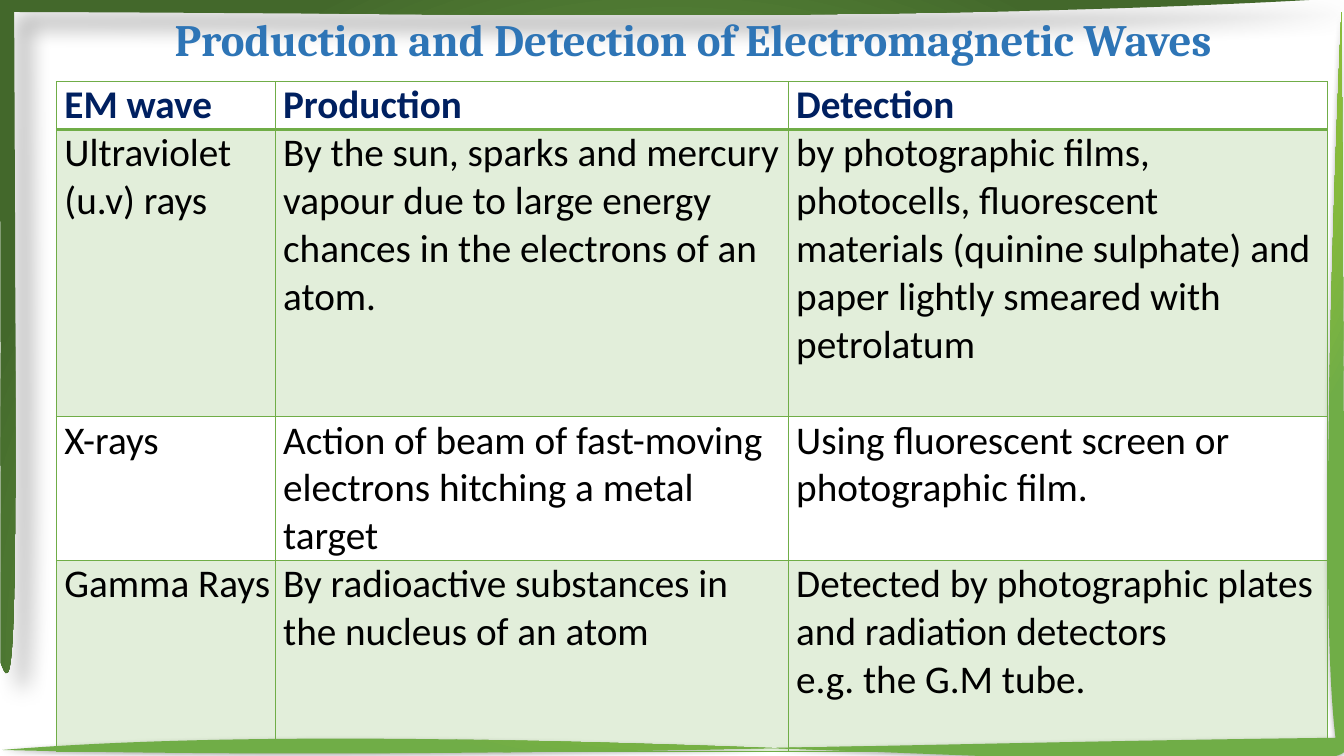
from lxml.etree import SubElement
from pptx import Presentation
from pptx.dml.color import RGBColor
from pptx.enum.text import MSO_ANCHOR, PP_ALIGN
from pptx.oxml import parse_xml
from pptx.oxml.ns import nsdecls, qn
from pptx.util import Pt

COLORS = {
    "title": "2E75B6", "header": "002060", "text": "000000", "green": "70AD47",
    "leaf": "76B54C", "dark": "43682B", "yellow": "FFFF00", "white": "FFFFFF",
}
COLUMN_WIDTHS = [156.24, 366.48, 385.2]
ROW_HEIGHTS = [34.2, 205.2, 102.4, 136.9]
ROWS = [
    [["EM wave"], ["Production"], ["Detection"]],
    [["Ultraviolet (u.v) rays"],
     ["By the sun, sparks and mercury",
      "vapour due to large energy chances in the electrons of an", "atom."],
     ["by photographic films,", "photocells, fluorescent",
      "materials (quinine sulphate) and paper lightly smeared with petrolatum"]],
    [["X-rays"],
     ["Action of beam of fast-moving", "electrons hitching a metal", "target"],
     ["Using fluorescent screen or photographic film."]],
    [["Gamma Rays"],
     ["By radioactive substances in the nucleus of an atom"],
     ["Detected by photographic plates and radiation detectors", "e.g. the G.M tube."]],
]


def write_text(text_frame, lines, *, size, font, color, bold=False,
               align=PP_ALIGN.LEFT, spacing=1.0):
    text_frame.word_wrap = True
    for index, line in enumerate(lines):
        paragraph = text_frame.paragraphs[0] if index == 0 else text_frame.add_paragraph()
        paragraph.alignment = align
        paragraph.line_spacing = spacing
        run = paragraph.add_run()
        run.text = line
        run.font.size = Pt(size)
        run.font.name = font
        run.font.bold = bold
        run.font.color.rgb = RGBColor.from_string(COLORS[color])


def bend_outline(shape, segments):
    """Turn each line that has two handles into a cubic curve."""
    lines = list(shape._element.spPr.iter(qn("a:lnTo")))
    for line, segment in zip(lines, segments):
        if len(segment) == 3:
            curve = parse_xml(f'<a:cubicBezTo {nsdecls("a")}/>')
            for x, y in segment:
                point = SubElement(curve, qn("a:pt"))
                point.set("x", str(Pt(x) - shape.left))
                point.set("y", str(Pt(y) - shape.top))
            line.getparent().replace(line, curve)


def add_wave_band(slide, start, segments, *, stops, focus, shadow):
    builder = slide.shapes.build_freeform(Pt(start[0]), Pt(start[1]))
    builder.add_line_segments(
        [(Pt(x), Pt(y)) for x, y in (segment[-1] for segment in segments)], close=True)
    shape = builder.convert_to_shape()
    bend_outline(shape, segments)
    shape.line.fill.background()

    # Radial gradient
    stop_xml = "".join(
        f'<a:gs pos="{position * 1000}"><a:srgbClr val="{COLORS[color]}"/></a:gs>'
        for position, color in stops)
    top, bottom = focus
    gradient = parse_xml(
        f'<a:gradFill {nsdecls("a")} rotWithShape="1"><a:gsLst>{stop_xml}</a:gsLst>'
        f'<a:path path="circle"><a:fillToRect l="50000" t="{top * 1000}" r="50000" '
        f'b="{bottom * 1000}"/></a:path></a:gradFill>')
    properties = shape._element.spPr
    properties.find(qn("a:custGeom")).addnext(gradient)

    # Soft shadow
    opacity, blur, distance, angle = shadow
    properties.append(parse_xml(
        f'<a:effectLst {nsdecls("a")}><a:outerShdw blurRad="{Pt(blur)}" '
        f'dist="{Pt(distance)}" dir="{angle * 60000}" algn="tl" rotWithShape="0">'
        f'<a:srgbClr val="{COLORS["text"]}"><a:alpha val="{opacity * 1000}"/></a:srgbClr>'
        f'</a:outerShdw></a:effectLst>'))


def add_frame(slide, left, top, width, height):
    right, bottom = left + width, top + height
    # Band along the top and left edges
    upper_start = (left + 0.7, top + 473.8)
    upper = [
        [(left + 11.5, top + 504.7), (left + 12.2, top + 449.3), (left + 10.1, top + 8.6)],
        [(left + 332.6, top + 9.4), (left + 655.2, top + 16.6), (right, top - 1.4)],
        [(left, top - 1.4)],
        [(left, top + 157), (left + 0.7, top + 315.4), upper_start],
    ]
    add_wave_band(slide, upper_start, upper,
                  stops=[(0, "yellow"), (46, "leaf"), (100, "dark")],
                  focus=(130, -30), shadow=(30, 15, 18, 45))
    # Band along the bottom and right edges
    lower_start = (right + 1.2, bottom - 4.3)
    lower = [
        [(right - 8.9, bottom + 26.6), (left + 354.2, bottom - 33.1), (left + 1.4, bottom - 4.3)],
        [(left + 327.6, bottom + 3.6), (left + 636.5, bottom - 9.4), (right - 6, bottom - 13)],
        [(right - 20.4, top + 411.1), (right - 1.7, top + 3.6), (right - 1.7, top + 8.6)],
        [(right - 1.7, top + 13), (right + 1.2, bottom - 8.6), lower_start],
    ]
    add_wave_band(slide, lower_start, lower,
                  stops=[(0, "white"), (35, "yellow"), (100, "green")],
                  focus=(-80, 180), shadow=(32, 3.5, 2.2, 90))


def add_title(slide, left, top, width, height):
    box = slide.shapes.add_textbox(Pt(left), Pt(top), Pt(width), Pt(height))
    box.text_frame.vertical_anchor = MSO_ANCHOR.MIDDLE
    write_text(box.text_frame, ["Production and Detection of Electromagnetic Waves"],
               size=32, font="Cambria", color="title", bold=True,
               align=PP_ALIGN.CENTER, spacing=0.9)


def format_cell(cell, row_index):
    cell.margin_left = Pt(5.76)
    cell.margin_top = cell.margin_right = cell.margin_bottom = 0
    properties = cell._tc.get_or_add_tcPr()
    widths = {"lnL": 1, "lnR": 1, "lnT": 2 if row_index == 1 else 1,
              "lnB": 2 if row_index == 0 else 1}
    for side, width in widths.items():
        properties.append(parse_xml(
            f'<a:{side} {nsdecls("a")} w="{Pt(width)}"><a:solidFill>'
            f'<a:srgbClr val="{COLORS["green"]}"/></a:solidFill></a:{side}>'))
    if row_index % 2:
        cell.fill.solid()
        cell.fill.fore_color.rgb = RGBColor.from_string(COLORS["green"])
        color = properties.find(qn("a:solidFill")).find(qn("a:srgbClr"))
        SubElement(color, qn("a:alpha")).set("val", "20000")
    else:
        cell.fill.background()


def add_wave_table(slide, left, top):
    shape = slide.shapes.add_table(
        len(ROWS), len(COLUMN_WIDTHS), Pt(left), Pt(top),
        Pt(sum(COLUMN_WIDTHS)), Pt(sum(ROW_HEIGHTS)))
    table = shape.table
    table.first_row = table.horz_banding = False
    for column, width in zip(table.columns, COLUMN_WIDTHS):
        column.width = Pt(width)
    for row_index, (row, height) in enumerate(zip(table.rows, ROW_HEIGHTS)):
        row.height = Pt(height)
        is_header = row_index == 0
        for cell, lines in zip(row.cells, ROWS[row_index]):
            format_cell(cell, row_index)
            write_text(cell.text_frame, lines, size=28, font="Calibri",
                       color="header" if is_header else "text", bold=is_header)


def main():
    presentation = Presentation()
    presentation.slide_width, presentation.slide_height = Pt(960), Pt(540)
    slide = presentation.slides.add_slide(presentation.slide_layouts[6])
    add_frame(slide, 0, 0, 960, 540)
    add_title(slide, 92.9, 2.2, 805, 56.2)
    add_wave_table(slide, 40.3, 58.3)
    presentation.save("out.pptx")


if __name__ == "__main__":
    main()
